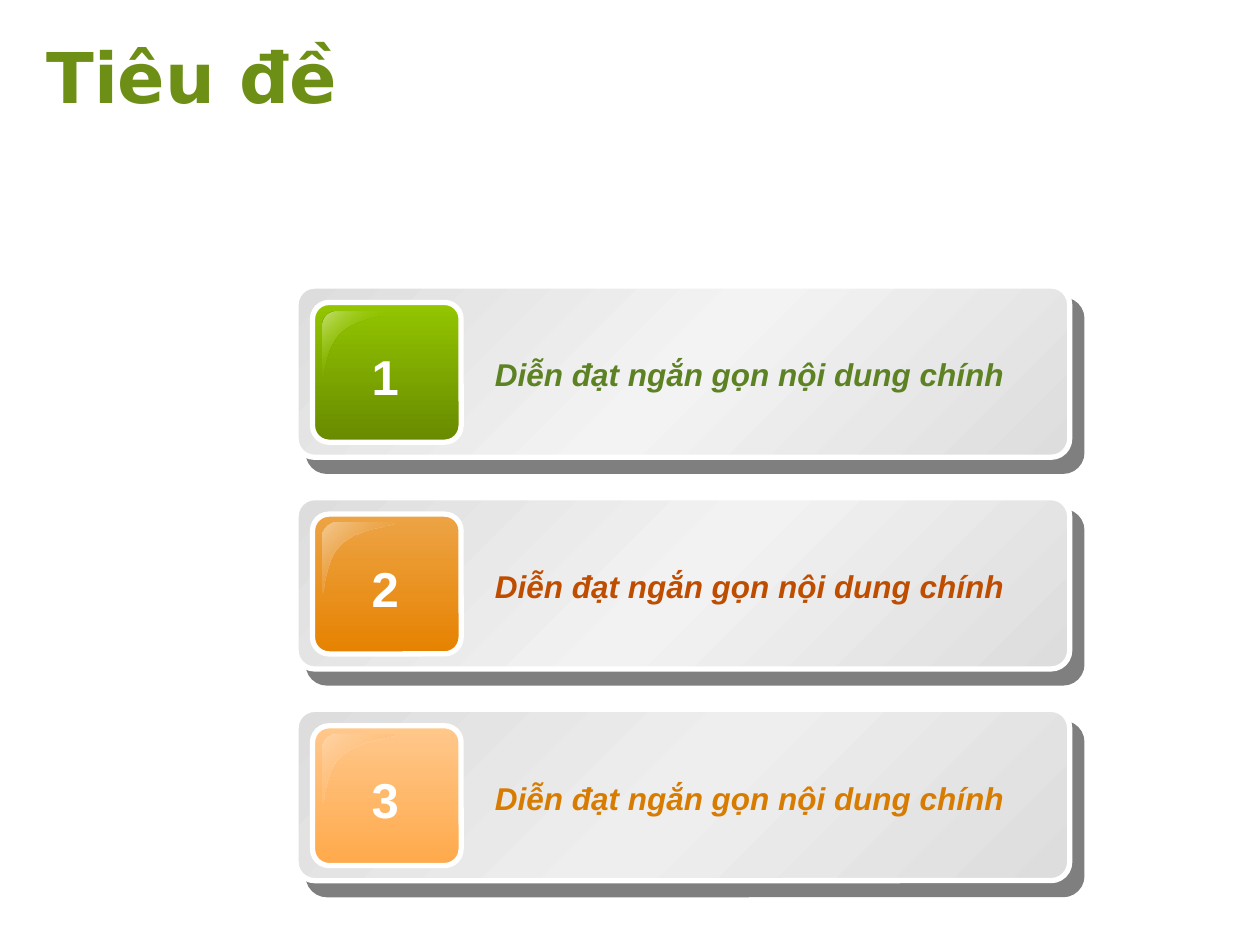
from lxml.etree import SubElement
from pptx import Presentation
from pptx.dml.color import RGBColor
from pptx.enum.shapes import MSO_SHAPE
from pptx.enum.text import MSO_ANCHOR, MSO_AUTO_SIZE, PP_ALIGN
from pptx.oxml.ns import qn
from pptx.util import Inches, Pt

WHITE = RGBColor(0xFF, 0xFF, 0xFF)
BLACK = RGBColor(0x00, 0x00, 0x00)
GRAY = RGBColor(0xDD, 0xDD, 0xDD)
TITLE_GREEN = RGBColor(0x6E, 0x8F, 0x15)
GREEN = RGBColor(0x94, 0xC6, 0x00)
DARK_GREEN = RGBColor(0x67, 0x8A, 0x00)
PALE_GREEN = RGBColor(0xC5, 0xE0, 0x74)
TEXT_GREEN = RGBColor(0x5D, 0x82, 0x23)
LIGHT_ORANGE = RGBColor(0xED, 0xA4, 0x46)
ORANGE = RGBColor(0xE6, 0x82, 0x00)
PALE_ORANGE = RGBColor(0xF4, 0xCA, 0x93)
TEXT_ORANGE = RGBColor(0xBF, 0x4D, 0x00)
LIGHT_PEACH = RGBColor(0xFF, 0xC8, 0x8C)
PEACH = RGBColor(0xFF, 0xA9, 0x4A)
PALE_PEACH = RGBColor(0xFF, 0xD5, 0xA7)
TEXT_PEACH = RGBColor(0xD7, 0x7C, 0x01)

LEFT, TOP, PITCH = 2.35, 2.27, 1.68
CAPTION = "Diễn đạt ngắn gọn nội dung chính"

# Each item: bar centre, tile stops, gloss stops, caption colour
ITEMS = [
    (RGBColor(0xF3, 0xF3, 0xF3), [(0, GREEN), (100, DARK_GREEN)],
     [(0, PALE_GREEN), (50, GREEN, 0), (100, PALE_GREEN)], TEXT_GREEN),
    (RGBColor(0xF2, 0xF2, 0xF2), [(0, LIGHT_ORANGE), (100, ORANGE)],
     [(0, PALE_ORANGE), (100, ORANGE, 0)], TEXT_ORANGE),
    (RGBColor(0xEE, 0xEE, 0xEE), [(0, LIGHT_PEACH), (100, PEACH)],
     [(0, PALE_PEACH), (100, PEACH, 0)], TEXT_PEACH),
]

# Gloss outline, as cubic curves from its own top left corner
GLOSS_START = (0.11, 0)
GLOSS_CURVES = [
    [(0.11, 0), (0.05, 0), (0, 0.05), (0, 0.11)],
    [(0, 0.55), (0.02, 0.56), (0.01, 0.29), (0.16, 0.16)],
    [(0.16, 0.16), (0.3, 0.04), (0.59, 0.03), (0.58, 0)],
]


def curve_points(curve, steps=12):
    """Points along a cubic Bezier curve, both ends included."""
    points = []
    for i in range(steps + 1):
        t = i / steps
        weights = ((1 - t) ** 3, 3 * t * (1 - t) ** 2, 3 * t * t * (1 - t), t ** 3)
        points.append(tuple(sum(w * c for w, c in zip(weights, axis))
                            for axis in zip(*curve)))
    return points


def add_color(parent, color, alpha=100):
    clr = SubElement(parent, qn("a:srgbClr"), val=str(color))
    if alpha < 100:
        SubElement(clr, qn("a:alpha"), val=str(alpha * 1000))


def set_gradient(sp, stops, angle):
    sp.fill.solid()
    solid = sp._element.spPr.find(qn("a:solidFill"))
    grad = solid.makeelement(qn("a:gradFill"), {"rotWithShape": "1"})
    gs_list = SubElement(grad, qn("a:gsLst"))
    for pos, *color in stops:
        add_color(SubElement(gs_list, qn("a:gs"), pos=str(pos * 1000)), *color)
    SubElement(grad, qn("a:lin"), ang=str(angle * 60000), scaled="0")
    solid.getparent().replace(solid, grad)


def write_text(tf, text, *, size, color, font="Arial", italic=False,
               align=PP_ALIGN.LEFT):
    p = tf.paragraphs[0]
    p.alignment = align
    r = p.add_run()
    r.text = text
    r.font.name = font
    r.font.size = Pt(size)
    r.font.bold = True
    r.font.italic = italic
    r.font.color.rgb = color


class SlideBuilder:
    def __init__(self, slide):
        self.slide = slide
        self.shapes = slide.shapes

    def start_group(self):
        self.shapes = self.slide.shapes.add_group_shape().shapes

    def panel(self, x, y, w, h, radius, stops, angle):
        sp = self.shapes.add_shape(MSO_SHAPE.ROUNDED_RECTANGLE, Inches(x),
                                   Inches(y), Inches(w), Inches(h))
        sp.adjustments[0] = radius
        sp.shadow.inherit = False
        set_gradient(sp, stops, angle)
        sp.line.color.rgb = WHITE
        sp.line.width = Pt(3)
        return sp

    def drop_shadow(self, sp, distance, angle, alpha):
        effects = sp._element.spPr.find(qn("a:effectLst"))
        shadow = SubElement(effects, qn("a:outerShdw"), blurRad="0",
                            dist=str(Pt(distance)), dir=str(angle * 60000),
                            algn="ctr", rotWithShape="0")
        add_color(shadow, BLACK, alpha)

    def gloss(self, x, y, stops):
        def place(point):
            return Inches(x + point[0]), Inches(y + point[1])

        builder = self.shapes.build_freeform(*place(GLOSS_START), scale=1.0)
        for curve in GLOSS_CURVES:
            builder.add_line_segments([place(pt) for pt in curve_points(curve)],
                                      close=False)
        builder.add_line_segments([place(GLOSS_START)], close=True)
        sp = builder.convert_to_shape()
        sp.shadow.inherit = False
        set_gradient(sp, stops, 45)
        sp.line.fill.background()

    def text(self, x, y, w, h, text, *, wrap=True, grow=True,
             anchor=MSO_ANCHOR.TOP, **style):
        tf = self.shapes.add_textbox(Inches(x), Inches(y), Inches(w),
                                     Inches(h)).text_frame
        tf.word_wrap = wrap
        tf.auto_size = MSO_AUTO_SIZE.SHAPE_TO_FIT_TEXT if grow else MSO_AUTO_SIZE.NONE
        tf.vertical_anchor = anchor
        write_text(tf, text, **style)


def main():
    prs = Presentation()
    prs.slide_width, prs.slide_height = Inches(10), Inches(7.5)
    s = SlideBuilder(prs.slides.add_slide(prs.slide_layouts[6]))

    # Title
    s.text(0.27, 0.35, 4.97, 0.5, "Tiêu đề", grow=False, anchor=MSO_ANCHOR.MIDDLE,
           size=40, color=TITLE_GREEN, font="DejaVu Sans")

    # Numbered bars
    for i, (centre, tile, gloss, color) in enumerate(ITEMS):
        y = TOP + i * PITCH
        s.start_group()
        bar = s.panel(LEFT, y, 6.14, 1.36, 0.109,
                      [(0, GRAY), (50, centre), (100, GRAY)], 45)
        s.drop_shadow(bar, 10.6, 49, 50)
        s.panel(LEFT + 0.13, y + 0.13, 1.18, 1.11, 0.119, tile, 90)
        s.gloss(LEFT + 0.21, y + 0.2, gloss)
        s.text(LEFT + 0.5, y + 0.43, 0.41, 0.57, str(i + 1), wrap=False,
               size=28, color=WHITE, align=PP_ALIGN.CENTER)
        s.text(LEFT + 1.48, y + 0.5, 4.51, 0.4, CAPTION, size=18,
               color=color, italic=True)

    prs.save("out.pptx")


if __name__ == "__main__":
    main()
